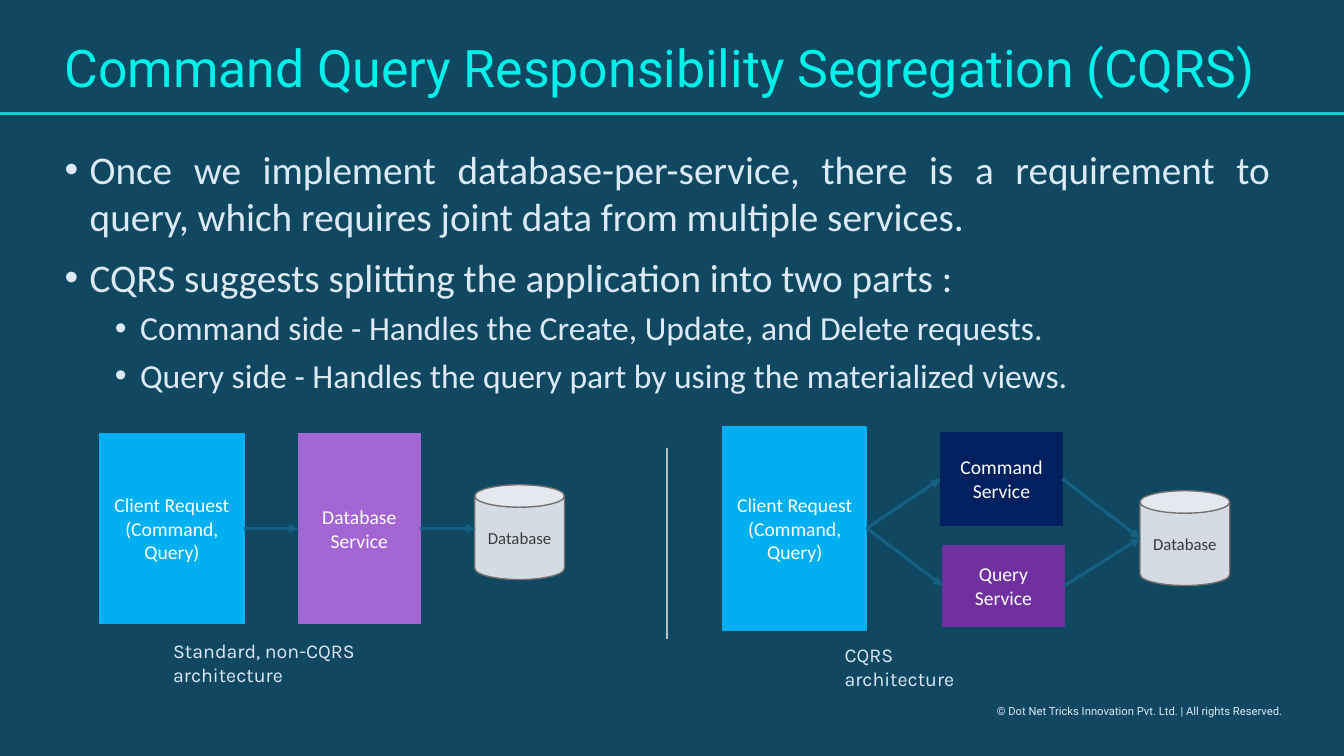
from lxml import etree
from pptx import Presentation
from pptx import util as u
from pptx.dml.color import RGBColor
from pptx.enum import shapes, text
from pptx.oxml.ns import qn

PALE, WHITE, ARROW, CLIENT = "DCEAF7", "FFFFFF", "156082", "00B0F0"


def color(target, value):
    """Give a fill, a line's fill or a font a solid colour."""
    if hasattr(target, "solid"):
        target.solid()
        target = target.fore_color
    else:
        target = target.color
    target.rgb = RGBColor.from_string(value)


def write(shape, content, size=14, font="Calibri", ink=PALE, align=None,
          anchor=text.MSO_ANCHOR.TOP):
    """Fill a shape with one paragraph per line of content."""
    frame = shape.text_frame
    frame.word_wrap = True
    frame.auto_size = text.MSO_AUTO_SIZE.NONE
    frame.vertical_anchor = anchor
    frame.text = content
    for paragraph in frame.paragraphs:
        paragraph.alignment = align
        for run in paragraph.runs:
            run.font.size = u.Pt(size)
            run.font.name = font
            color(run.font, ink)
    return frame


presentation = Presentation()
presentation.slide_width, presentation.slide_height = u.Pt(960), u.Pt(540)
slide = presentation.slides.add_slide(presentation.slide_layouts[1])
color(slide.background.fill, "104862")

# Title
title = slide.shapes.title
title.left, title.top, title.width, title.height = [u.Pt(n) for n in (38.9, 33.8, 875.5, 41.8)]
frame = write(title, "Command Query Responsibility Segregation (CQRS)", size=37,
              font="Roboto", ink="00F0EA", align=text.PP_ALIGN.LEFT)
frame.paragraphs[0].line_spacing = 0.7
frame.paragraphs[0].space_before = u.Pt(0)

# Bulleted list: level, space before, size, text
bullets = [
    (0, 0, 28, "Once we implement database-per-service, there is a requirement to query, "
               "which requires joint data from multiple services."),
    (0, 10, 28, "CQRS suggests splitting the application into two parts :"),
    (1, 5, 24, "Command side - Handles the Create, Update, and Delete requests."),
    (1, 5, 24, "Query side - Handles the query part by using the materialized views."),
]
body = slide.placeholders[1]
body.left, body.top, body.width, body.height = [u.Pt(n) for n in (38.9, 100.1, 875.5, 190.8)]
frame = write(body, "\n".join(bullet[3] for bullet in bullets), align=text.PP_ALIGN.JUSTIFY)
for paragraph, (level, before, size, _) in zip(frame.paragraphs, bullets):
    paragraph.level = level
    paragraph.space_before = u.Pt(before)
    properties = paragraph._p.get_or_add_pPr()
    properties.set("marL", str(u.Pt(18 + 36 * level)))
    properties.set("indent", str(u.Pt(-18)))
    etree.SubElement(properties, qn("a:buFont"), typeface="Arial")
    etree.SubElement(properties, qn("a:buChar"), char="•")
    paragraph.runs[0].font.size = u.Pt(size)

# Diagram boxes: left, top, width, height, fill, text
boxes = {
    "standard client": (71.3, 309.6, 103, 136, CLIENT, "Client Request\n(Command, Query)"),
    "database service": (213.1, 309.6, 87.1, 136, "A365D1", "Database\nService"),
    "cqrs client": (516.2, 304.6, 103, 145.4, CLIENT, "Client Request\n(Command, Query)"),
    "command": (671.8, 308.9, 87.1, 66.2, "002060", "Command Service"),
    "query": (673.2, 389.5, 87.1, 57.6, "7030A0", "Query\nService"),
}
nodes = {}
for name, (left, top, width, height, fill, label) in boxes.items():
    box = slide.shapes.add_shape(shapes.MSO_SHAPE.RECTANGLE, u.Pt(left), u.Pt(top),
                                 u.Pt(width), u.Pt(height))
    box.shadow.inherit = False
    color(box.fill, fill)
    color(box.line.fill, fill)
    box.line.width = u.Pt(1)
    write(box, label, ink=WHITE, align=text.PP_ALIGN.CENTER, anchor=text.MSO_ANCHOR.MIDDLE)
    nodes[name] = box

# Databases
for left, top in [(339.1, 346.3), (814.3, 350.6)]:
    database = slide.shapes.add_shape(shapes.MSO_SHAPE.CAN, u.Pt(left), u.Pt(top),
                                      u.Pt(64.1), u.Pt(67.7))
    database.shadow.inherit = False
    color(database.fill, "D5DBE5")
    color(database.line.fill, "757070")
    database.line.width = u.Pt(1)
    write(database, "Database", size=12, ink="3A3838", align=text.PP_ALIGN.CENTER,
          anchor=text.MSO_ANCHOR.MIDDLE)

# Rules and arrows: start, end, colour, width; an end is a box name or a point
lines = [
    ((0, 80.9), (960, 80.9), "00D1CF", 2),
    ((476.6, 319.7), (476.6, 456.5), "BFBFBF", 1.5),
    ("standard client", "database service", ARROW, 2.25),
    ("database service", (339.5, 377.6), ARROW, 2.25),
    ("cqrs client", "command", ARROW, 2.25),
    ("cqrs client", "query", ARROW, 2.25),
    ("command", (814.3, 384.5), ARROW, 2.25),
    ("query", (814.3, 384.5), ARROW, 2.25),
]
for start, end, ink, width in lines:
    x1, y1 = (0, 0) if start in nodes else start
    x2, y2 = (0, 0) if end in nodes else end
    connector = slide.shapes.add_connector(shapes.MSO_CONNECTOR.STRAIGHT,
                                           u.Pt(x1), u.Pt(y1), u.Pt(x2), u.Pt(y2))
    if start in nodes:
        connector.begin_connect(nodes[start], 3)
    if end in nodes:
        connector.end_connect(nodes[end], 1)
    color(connector.line.fill, ink)
    connector.line.width = u.Pt(width)
    if ink == ARROW:
        etree.SubElement(connector.line._get_or_add_ln(), qn("a:tailEnd"), type="triangle")
    etree.SubElement(connector._element.spPr, qn("a:effectLst"))

# Captions and copyright line: left, top, width, height, text, size, font
notes = [
    (116.6, 452.9, 219.6, 40, "Standard, non-CQRS architecture", 14, "Karla"),
    (596.2, 455.8, 126.7, 40, "CQRS architecture", 14, "Karla"),
    (704.9, 499.7, 226, 17.3,
     "© Dot Net Tricks Innovation Pvt. Ltd. | All rights Reserved.", 8, "Roboto"),
]
for left, top, width, height, content, size, font in notes:
    note = slide.shapes.add_textbox(u.Pt(left), u.Pt(top), u.Pt(width), u.Pt(height))
    write(note, content, size=size, font=font)

presentation.save("out.pptx")
